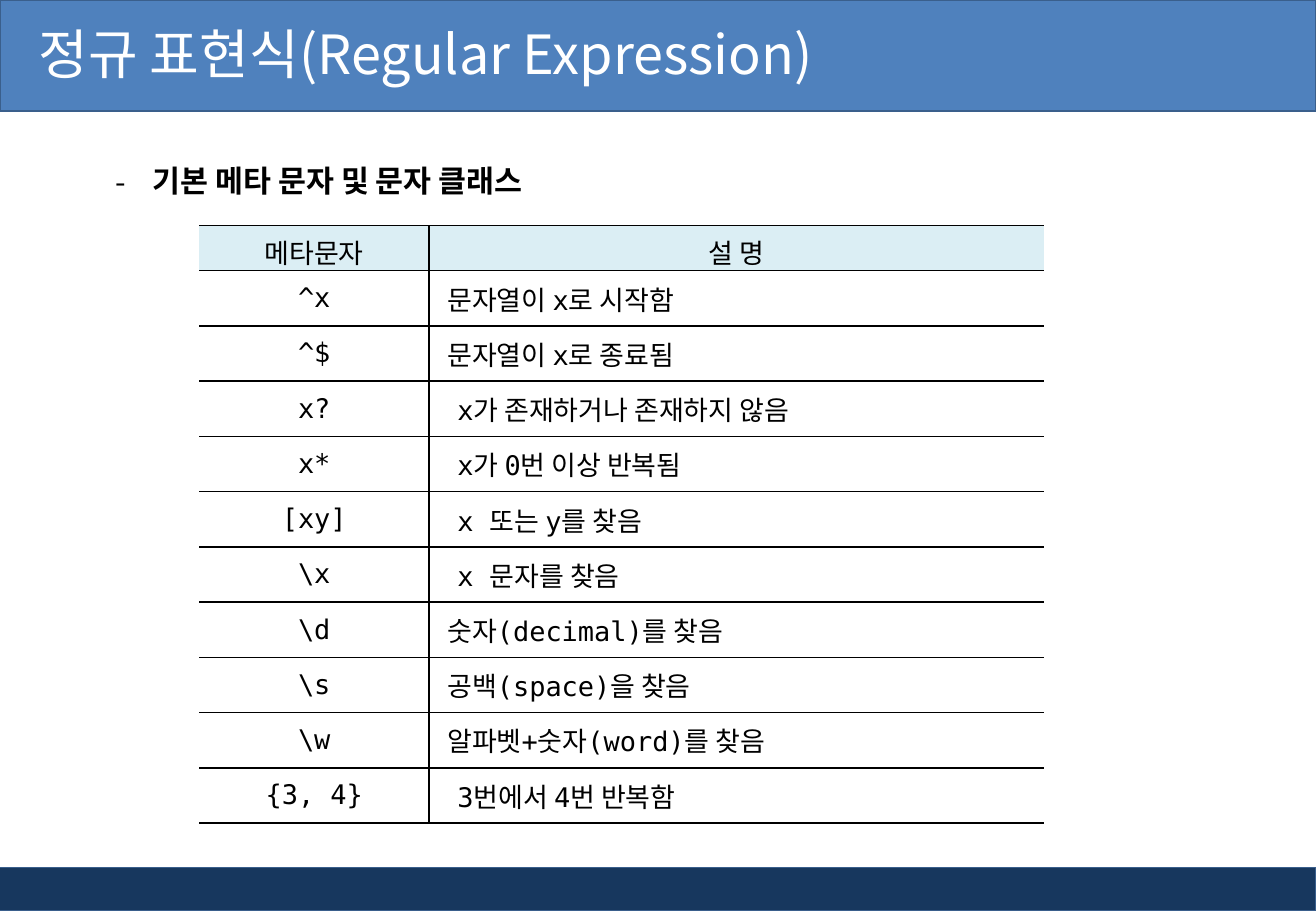
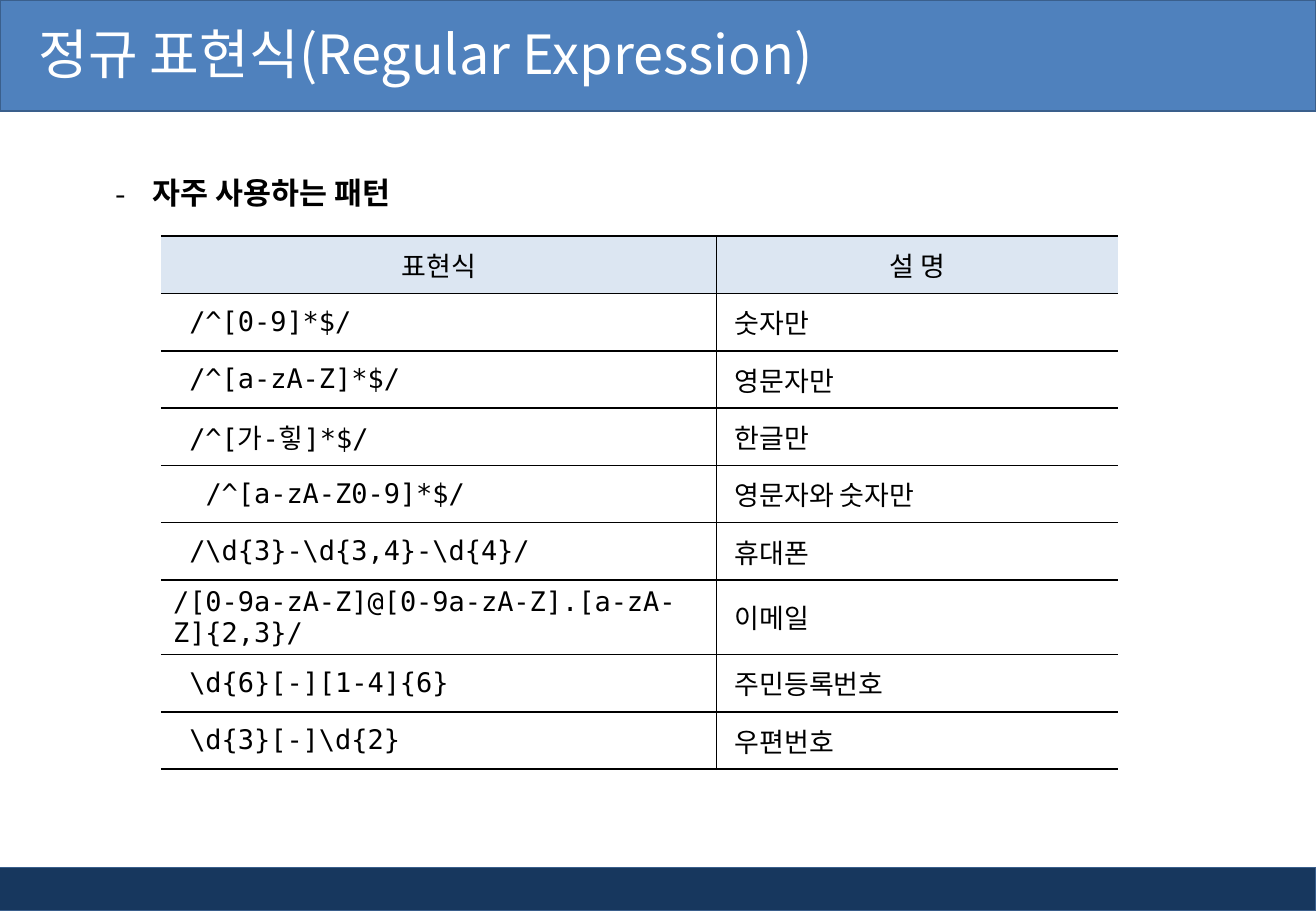
"""Builds two slides of regular expression tables with a shared title band and footer."""
import dataclasses

import pptx
import pptx.dml.color
import pptx.enum.shapes
import pptx.enum.text
import pptx.oxml
import pptx.oxml.ns
import pptx.util

PX = 7620
ALIGN = pptx.enum.text.PP_ALIGN
MIDDLE = pptx.enum.text.MSO_ANCHOR.MIDDLE
NS = pptx.oxml.ns.nsdecls("a")


@dataclasses.dataclass(frozen=True)
class Theme:
    band: str = "4F81BD"
    foot: str = "17375E"
    edge: str = "3A5F8C"
    ink: str = "000000"
    white: str = "FFFFFF"
    sans: str = "Noto Sans CJK KR"
    mono: str = "DejaVu Sans Mono"
    plain: str = "Arial"
    title: int = 32
    lead: int = 18
    cell: int = 16


theme = Theme()


def color(code):
    return pptx.dml.color.RGBColor.from_string(code)


def write(frame, words, size=theme.cell, font=theme.sans, ink=theme.ink,
          bold=False, align=ALIGN.LEFT, space=1.0, mark=None, hang=0):
    para = frame.paragraphs[0]
    if mark:
        props = para._p.get_or_add_pPr()
        props.set("marL", str(hang * PX))
        props.set("indent", str(-hang * PX))
        props.append(pptx.oxml.parse_xml(f'<a:buFont {NS} typeface="{font}"/>'))
        props.append(pptx.oxml.parse_xml(f'<a:buChar {NS} char="{mark}"/>'))
    para.alignment = align
    para.line_spacing = space
    para.space_before = pptx.util.Pt(0)
    run = para.add_run()
    run.text = words
    run.font.size = pptx.util.Pt(size)
    run.font.name = font
    run.font.bold = bold
    run.font.color.rgb = color(ink)
    run.font._element.find(pptx.oxml.ns.qn("a:latin")).addnext(
        pptx.oxml.parse_xml(f'<a:ea {NS} typeface="{theme.sans}"/>'))


pages = [
    dict(
        lead="기본 메타 문자 및 문자 클래스", box=(102, 136, 520, 60),
        left=197, top=223, cols=(227, 607), head=44, base=0, body=546,
        fill="DBEEF4", align=ALIGN.CENTER, font=theme.mono, pads={},
        rows=[
            ("메타문자", "설 명"),
            ("^x", "문자열이 x로 시작함"),
            ("^$", "문자열이 x로 종료됨"),
            ("x?", "x가 존재하거나 존재하지 않음"),
            ("x*", "x가 0번 이상 반복됨"),
            ("[xy]", "x 또는 y를 찾음"),
            (r"\x", "x 문자를 찾음"),
            (r"\d", "숫자(decimal)를 찾음"),
            (r"\s", "공백(space)을 찾음"),
            (r"\w", "알파벳+숫자(word)를 찾음"),
            ("{3, 4}", "3번에서 4번 반복함"),
        ]),
    dict(
        lead="자주 사용하는 패턴", box=(102, 148, 1115, 67),
        left=159, top=233, cols=(549, 396), head=57, base=6, body=453,
        fill="DCE6F2", align=ALIGN.LEFT, font=theme.plain, pads={4: 44, 6: 12},
        rows=[
            ("표현식", "설 명"),
            ("/^[0-9]*$/", "숫자만"),
            ("/^[a-zA-Z]*$/", "영문자만"),
            ("/^[가-힣]*$/", "한글만"),
            ("/^[a-zA-Z0-9]*$/", "영문자와 숫자만"),
            (r"/\d{3}-\d{3,4}-\d{4}/", "휴대폰"),
            ("/[0-9a-zA-Z]@[0-9a-zA-Z].[a-zA-Z]{2,3}/", "이메일"),
            (r"\d{6}[-][1-4]{6}", "주민등록번호"),
            (r"\d{3}[-]\d{2}", "우편번호"),
        ]),
]

deck = pptx.Presentation()
deck.slide_width, deck.slide_height = 1300 * PX, 900 * PX
layout = deck.slide_layouts[1]
slides = [deck.slides.add_slide(layout) for page in pages]

bands = [((-5, 857, 1305, 43), theme.foot), ((0, 0, 1300, 110), theme.band)]
first = deck.slide_master.placeholders[0].element
for index, (box, fill) in enumerate(bands):
    band = slides[0].shapes.add_shape(
        pptx.enum.shapes.MSO_SHAPE.RECTANGLE, *[side * PX for side in box])
    band.shadow.inherit = False
    band.fill.solid()
    band.fill.fore_color.rgb = color(fill)
    band.line.color.rgb = color(theme.edge)
    band.line.width = pptx.util.Pt(1)
    band.element.nvSpPr.cNvPr.id = 20 + index
    first.addprevious(band.element)

head = layout.placeholders[0]
head.left, head.top, head.width, head.height = 0, -4 * PX, 1049 * PX, 113 * PX

for slide, page in zip(slides, pages):
    title = slide.shapes.title.text_frame
    title.margin_left = 38 * PX
    title.vertical_anchor = MIDDLE
    title.auto_size = pptx.enum.text.MSO_AUTO_SIZE.NONE
    write(title, "정규 표현식(Regular Expression)", size=theme.title, ink=theme.white)

    lead = slide.placeholders[1]
    lead.left, lead.top, lead.width, lead.height = [side * PX for side in page["box"]]
    lead.text_frame.auto_size = pptx.enum.text.MSO_AUTO_SIZE.NONE
    write(lead.text_frame, page["lead"], size=theme.lead, bold=True,
          space=1.5, mark="-", hang=37)

    rows = page["rows"]
    table = slide.shapes.add_table(
        len(rows), 2, page["left"] * PX, page["top"] * PX,
        sum(page["cols"]) * PX, (page["head"] + page["body"]) * PX).table
    table.horz_banding = False
    for col, width in zip(table.columns, page["cols"]):
        col.width = width * PX

    for r, row in enumerate(rows):
        table.rows[r].height = page["body"] * PX // (len(rows) - 1) if r else page["head"] * PX
        for c, words in enumerate(row):
            cell = table.cell(r, c)
            cell.vertical_anchor = MIDDLE
            outer = "LR"[c]
            for side in "LRTB":
                paint = "<a:noFill/>" if side == outer else (
                    f'<a:solidFill><a:srgbClr val="{theme.ink}"/></a:solidFill>')
                cell._tc.get_or_add_tcPr().append(pptx.oxml.parse_xml(
                    f'<a:ln{side} {NS} w="12700">{paint}</a:ln{side}>'))
            if r == 0:
                cell.fill.solid()
                cell.fill.fore_color.rgb = color(page["fill"])
                cell.margin_bottom = page["base"] * PX
                write(cell.text_frame, words, align=ALIGN.CENTER)
                continue
            cell.fill.background()
            align = ALIGN.LEFT if c else page["align"]
            if align == ALIGN.LEFT:
                pad = 28 if words[0].isascii() else 18
                cell.margin_left = (pad if c else page["pads"].get(r, pad)) * PX
            write(cell.text_frame, words, align=align,
                  font=page["font"] if c else theme.mono)

deck.save("out.pptx")
